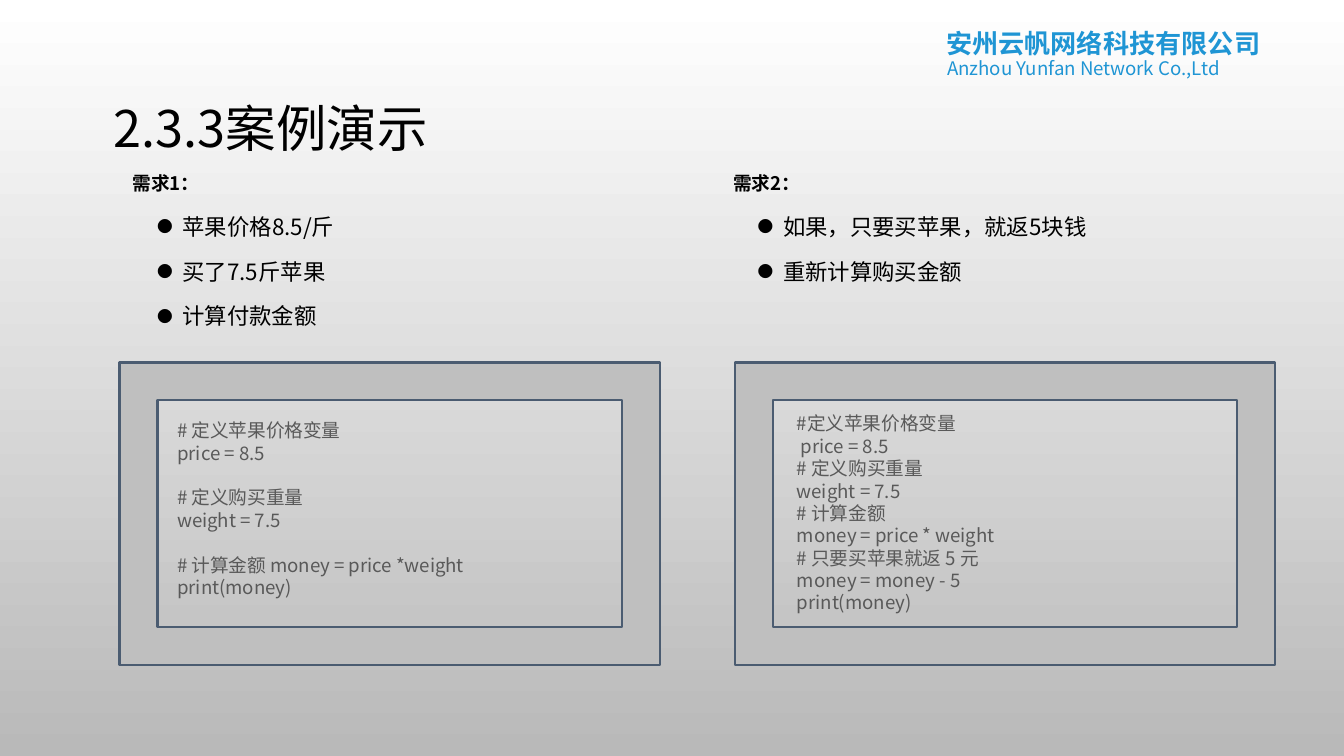
from lxml.etree import SubElement
from pptx import Presentation
from pptx.dml.color import RGBColor
from pptx.enum.shapes import MSO_SHAPE as SHAPE
from pptx.enum.text import MSO_ANCHOR as ANCHOR, PP_ALIGN as ALIGN
from pptx.oxml.ns import qn
from pptx.util import Cm, Pt

WHITE = RGBColor(0xFF, 0xFF, 0xFF)
SILVER = RGBColor(0xB9, 0xB9, 0xB9)
BLUE = RGBColor(0x1F, 0x95, 0xD4)
BLACK = RGBColor(0x00, 0x00, 0x00)
FRAME_FILL = RGBColor(0xBF, 0xBF, 0xBF)
FRAME_LINE = RGBColor(0x4B, 0x5C, 0x71)
CODE_GRAY = RGBColor(0x59, 0x59, 0x59)
FONT = "Noto Sans CJK SC"


def add_run(p, text, size, color, bold=False):
    r = p.add_run()
    r.text = text
    r.font.size = Pt(size)
    r.font.bold = bold
    r.font.color.rgb = color
    r.font.name = FONT
    SubElement(r.font._element, qn("a:ea")).set("typeface", FONT)


def add_box(s, left, top, width, height):
    tf = s.shapes.add_textbox(Cm(left), Cm(top), Cm(width), Cm(height)).text_frame
    tf.word_wrap = True
    return tf


prs = Presentation()
prs.slide_width, prs.slide_height = Cm(25.4), Cm(14.29)
s = prs.slides.add_slide(prs.slide_layouts[5])

fill = s.background.fill
fill.gradient()
fill.gradient_angle = 270
for stop, color, position in zip(fill.gradient_stops, (WHITE, SILVER), (0, 1)):
    stop.color.rgb = color
    stop.position = position

for text, left, top, height, size, bold in (
    ("安州云帆网络科技有限公司", 17.63, 0.38, 0.86, 14, True),
    ("Anzhou Yunfan Network Co.,Ltd", 17.65, 0.94, 0.69, 10, False),
):
    tf = add_box(s, left, top, 6.78, height)
    tf.margin_top = tf.margin_bottom = 0
    tf.vertical_anchor = ANCHOR.MIDDLE
    add_run(tf.paragraphs[0], text, size, BLUE, bold)

title = s.shapes.title
title.left, title.top, title.width, title.height = Cm(1.9), Cm(1.7), Cm(21.6), Cm(1.57)
tf = title.text_frame
tf.vertical_anchor = ANCHOR.MIDDLE
p = tf.paragraphs[0]
p.alignment = ALIGN.LEFT
p.line_spacing = 0.9
add_run(p, "2.3.3案例演示", 27, BLACK)

cases = (
    {
        "heading": "需求1：",
        "needs": ("苹果价格8.5/斤", "买了7.5斤苹果", "计算付款金额"),
        "left": 2.26,
        "frame_left": 2.26,
        "code_at": (3.1, 7.8, 8.53, 3.68),
        "code": (
            ("# 定义苹果价格变量", "price = 8.5"),
            ("# 定义购买重量", "weight = 7.5"),
            ("# 计算金额 money = price *weight", "print(money)"),
        ),
    },
    {
        "heading": "需求2：",
        "needs": ("如果，只要买苹果，就返5块钱", "重新计算购买金额"),
        "left": 13.61,
        "frame_left": 13.89,
        "code_at": (14.81, 7.67, 7.54, 4.09),
        "code": (
            (
                "#定义苹果价格变量",
                " price = 8.5",
                "# 定义购买重量",
                "weight = 7.5",
                "# 计算金额",
                "money = price * weight",
                "# 只要买苹果就返 5 元",
                "money = money - 5",
                "print(money)",
            ),
        ),
    },
)

for case in cases:
    tf = add_box(s, case["left"], 3.05, 10.49, 3.6)
    p = tf.paragraphs[0]
    p.line_spacing = Pt(14.3)
    add_run(p, case["heading"], 10, BLACK, True)
    for need in case["needs"]:
        p = tf.add_paragraph()
        p.line_spacing = Pt(17.1)
        p.space_before = Pt(7)
        pPr = p._p.get_or_add_pPr()
        pPr.set("marL", str(Cm(0.94)))
        pPr.set("indent", str(-Cm(0.48)))
        SubElement(SubElement(pPr, qn("a:buClr")), qn("a:srgbClr")).set("val", str(BLACK))
        SubElement(pPr, qn("a:buSzPct")).set("val", "70000")
        SubElement(pPr, qn("a:buFont")).set("typeface", FONT)
        SubElement(pPr, qn("a:buChar")).set("char", "●")
        add_run(p, need, 12, BLACK)

    sp = s.shapes.add_shape(SHAPE.FRAME, Cm(case["frame_left"]), Cm(6.85), Cm(10.21), Cm(5.72))
    sp.shadow.inherit = False
    sp.fill.solid()
    sp.fill.fore_color.rgb = FRAME_FILL
    sp.line.color.rgb = FRAME_LINE
    sp.line.width = Pt(1.25)

    tf = add_box(s, *case["code_at"])
    p = tf.paragraphs[0]
    for b, block in enumerate(case["code"]):
        for i, line in enumerate(block):
            if b or i:
                p = tf.add_paragraph()
            p.line_spacing = Pt(12)
            p.space_before = Pt(12 if b and i == 0 else 0)
            add_run(p, line, 10, CODE_GRAY)

prs.save("out.pptx")
